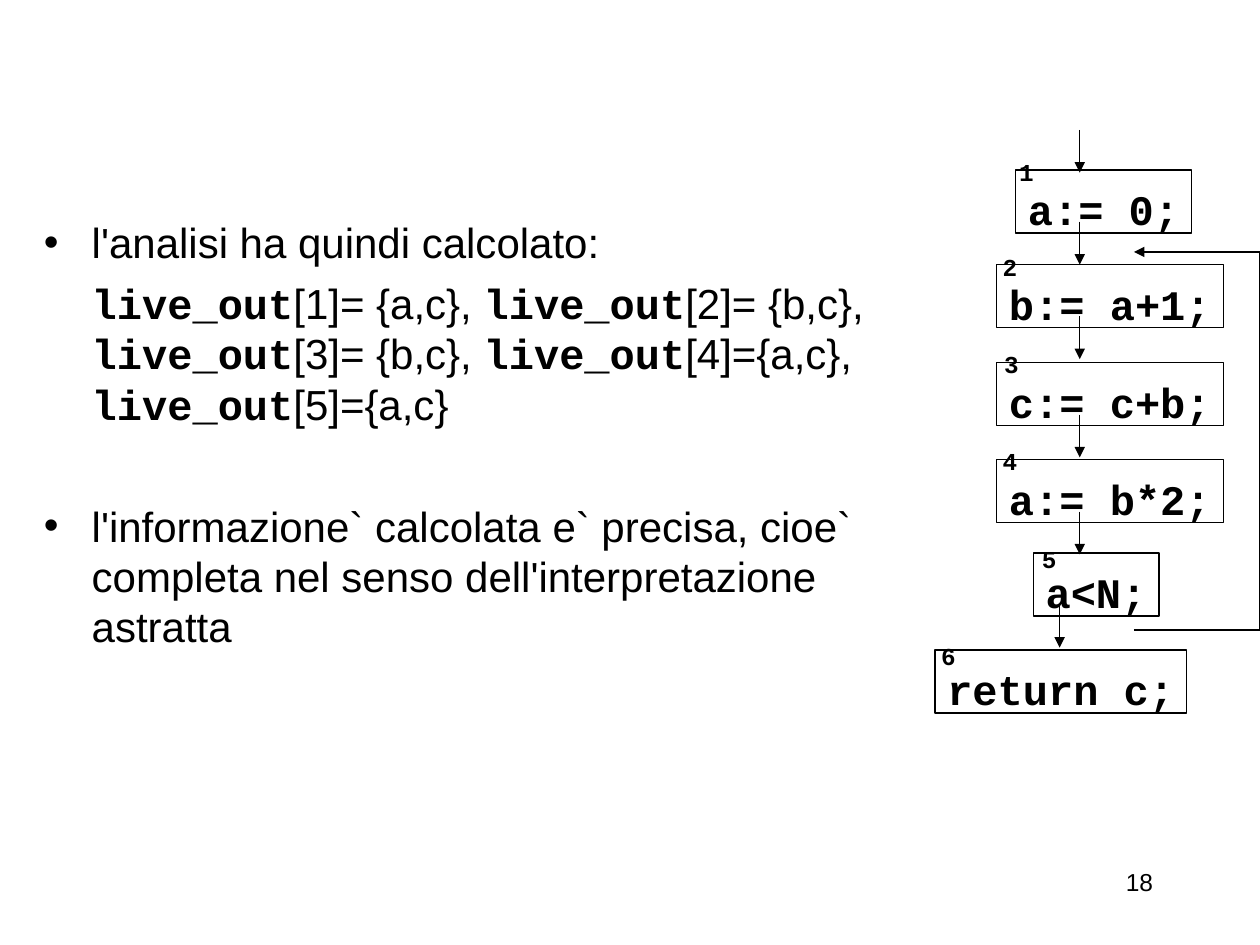
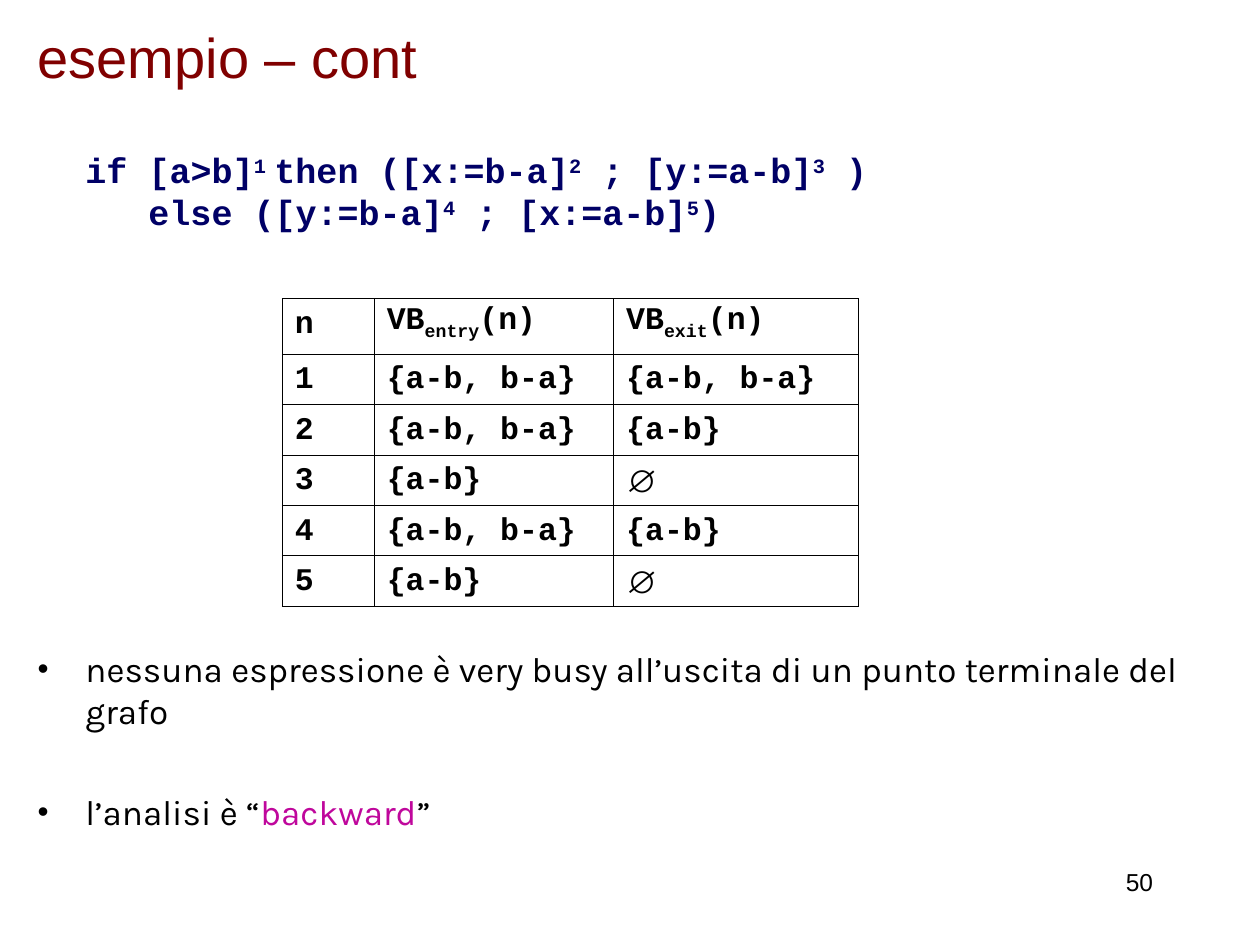
from dataclasses import dataclass, field
from lxml.etree import SubElement
from pptx import Presentation
from pptx.dml.color import RGBColor
from pptx.enum.shapes import MSO_CONNECTOR, MSO_SHAPE
from pptx.enum.text import MSO_ANCHOR, PP_ALIGN
from pptx.oxml.ns import qn
from pptx.util import Inches, Pt

BLACK = RGBColor(0, 0, 0)
NAVY = RGBColor(0, 0, 0x66)
MAROON = RGBColor(0x80, 0, 0)
PURPLE = RGBColor(0xBF, 0x07, 0x9C)
SANS, MONO, KARLA = "Arial", "Courier New", "Karla"
LINE = Pt(0.75)
LEAD = 1.2  # line pitch relative to text size


@dataclass
class Run:
    text: str
    font: str = SANS
    bold: bool = False
    color: RGBColor = BLACK
    base: int = 0


@dataclass
class Para:
    runs: list[Run]
    size: float = 24
    before: float = 0
    indent: float = 0
    bullet: int = 0  # bullet size in percent, 0 for none
    tabs: list[float] = field(default_factory=list)
    align: PP_ALIGN = PP_ALIGN.LEFT


@dataclass
class Node:
    tag: str
    text: str
    left: float
    top: float
    tagx: float
    tagy: float


def write(frame, paras: list[Para]) -> None:
    """Fill a text frame with formatted paragraphs."""
    for i, item in enumerate(paras):
        par = frame.paragraphs[0] if i == 0 else frame.add_paragraph()
        form = {"alignment": item.align, "space_before": Pt(item.before),
                "line_spacing": Pt(item.size * LEAD)}
        for key, value in form.items():
            setattr(par, key, value)
        props = par._p.get_or_add_pPr()
        props.set("marL", str(Inches(item.indent)))
        props.set("indent", str(-Inches(item.indent) if item.bullet else 0))
        if item.bullet:
            color = SubElement(props, qn("a:buClr"))
            SubElement(color, qn("a:srgbClr"), val=str(BLACK))
            SubElement(props, qn("a:buSzPct"), val=str(item.bullet * 1000))
            SubElement(props, qn("a:buFont"), typeface=SANS)
            SubElement(props, qn("a:buChar"), char="•")
        if item.tabs:
            stops = SubElement(props, qn("a:tabLst"))
            for stop in item.tabs:
                SubElement(stops, qn("a:tab"), pos=str(Inches(stop)), algn="l")
        for part in item.runs:
            run = par.add_run()
            run.text = part.text
            look = {"name": part.font, "size": Pt(item.size), "bold": part.bold}
            for key, value in look.items():
                setattr(run.font, key, value)
            run.font.color.rgb = part.color
            if part.base:
                run.font._element.set("baseline", str(part.base * 1000))


def text(slide, left: float, top: float, width: float, height: float,
         paras: list[Para], wrap: bool = True, anchor=MSO_ANCHOR.TOP) -> None:
    box = slide.shapes.add_textbox(Inches(left), Inches(top), Inches(width), Inches(height))
    box.text_frame.word_wrap = wrap
    box.text_frame.vertical_anchor = anchor
    write(box.text_frame, paras)


def footer(slide, number: int) -> None:
    text(slide, 7.17, 6.83, 2.08, 0.5,
         [Para([Run(str(number))], size=14, align=PP_ALIGN.RIGHT)])


def title(slide, words: str) -> None:
    text(slide, 0.2, 0.09, 9.49, 0.71, [Para([Run(words, color=MAROON)], size=32)],
         anchor=MSO_ANCHOR.MIDDLE)


def stroke(shape) -> None:
    """Thin black line with an arrowhead at its end."""
    shape.line.color.rgb = BLACK
    shape.line.width = LINE
    SubElement(shape.line._get_or_add_ln(), qn("a:tailEnd"), type="triangle")


def arrow(slide, x: float, top: float) -> None:
    line = slide.shapes.add_connector(MSO_CONNECTOR.STRAIGHT, Inches(x), Inches(top),
                                      Inches(x), Inches(top + 0.34))
    stroke(line)
    SubElement(line._element.spPr, qn("a:effectLst"))


def block(slide, node: Node) -> None:
    """A flow graph box with its raised number."""
    width = 0.2 + 0.2 * len(node.text)
    box = slide.shapes.add_shape(MSO_SHAPE.RECTANGLE, Inches(node.left), Inches(node.top),
                                 Inches(width), Inches(0.5))
    box.shadow.inherit = False
    box.fill.background()
    box.line.color.rgb = BLACK
    box.line.width = LINE
    form = {"word_wrap": False, "vertical_anchor": MSO_ANCHOR.TOP,
            "margin_top": Inches(0.11), "margin_bottom": Inches(0)}
    for key, value in form.items():
        setattr(box.text_frame, key, value)
    write(box.text_frame, [Para([Run(node.text, MONO, True)])])
    text(slide, node.tagx, node.tagy, 0.31, 0.5,
         [Para([Run(node.tag, MONO, True, base=30)])], wrap=False)


def curve(slide, start: tuple, bends: list[tuple], steps: int = 20) -> None:
    """Open outline that follows a chain of cubic bends."""
    points, first = [], start
    for bend in bends:
        knots = (first, *bend)
        for i in range(1, steps + 1):
            t = i / steps
            mix = ((1 - t) ** 3, 3 * t * (1 - t) ** 2, 3 * t * t * (1 - t), t ** 3)
            points.append(tuple(sum(m * k[axis] for m, k in zip(mix, knots))
                                for axis in (0, 1)))
        first = bend[-1]
    maker = slide.shapes.build_freeform(*start, scale=float(Inches(1)))
    maker.add_line_segments(points, close=False)
    loop = maker.convert_to_shape()
    loop.shadow.inherit = False
    loop.fill.background()
    stroke(loop)


def grid(slide, left: float, top: float, cols: list[float], rows: list[float],
         cells: list[list[list[Run]]]) -> None:
    """Plain table with thin borders."""
    table = slide.shapes.add_table(len(rows), len(cols), Inches(left), Inches(top),
                                   Inches(sum(cols)), Inches(sum(rows))).table
    table.first_row = table.horz_banding = False
    for col, width in zip(table.columns, cols):
        col.width = Inches(width)
    for row, height, line in zip(table.rows, rows, cells):
        row.height = Inches(height)
        for cell, runs in zip(row.cells, line):
            write(cell.text_frame, [Para(runs, size=18)])
            props = cell._tc.get_or_add_tcPr()
            for side in ("lnL", "lnR", "lnT", "lnB"):
                edge = SubElement(props, qn(f"a:{side}"), w=str(Pt(0.45)))
                fill = SubElement(edge, qn("a:solidFill"))
                SubElement(fill, qn("a:srgbClr"), val=str(BLACK))
            cell.fill.background()


def code(*parts: str) -> list[Run]:
    """Bold code where every second part is a raised label."""
    return [Run(part, MONO, True, NAVY, 30 * (i % 2)) for i, part in enumerate(parts)]


def live(slide) -> None:
    # Flow graph
    nodes = [Node("1", "a:= 0;", 8.06, 1.35, 7.99, 1.16),
             Node("2", "b:= a+1;", 7.91, 2.1, 7.86, 1.91),
             Node("3", "c:= c+b;", 7.91, 2.88, 7.87, 2.68),
             Node("4", "a:= b*2;", 7.91, 3.65, 7.86, 3.45),
             Node("5", "a<N;", 8.2, 4.39, 8.17, 4.23),
             Node("6", "return c;", 7.42, 5.16, 7.37, 5)]
    for node in nodes:
        block(slide, node)
    arrow(slide, 8.57, 1.03)
    for node in nodes[:-1]:
        arrow(slide, 8.41 if node.tag == "5" else 8.57, node.top + 0.41)
    curve(slide, (8.66, 4.8), [
        ((8.65, 4.9), (8.65, 5), (8.84, 5)),
        ((9.04, 5), (9.67, 5.26), (9.83, 4.8)),
        ((10, 4.34), (9.98, 2.72), (9.83, 2.24)),
        ((9.69, 1.76), (9.16, 1.93), (8.97, 1.91)),
        ((8.77, 1.88), (8.72, 2), (8.66, 2.11))])

    # Results of the analysis
    sets = ["[1]= {a,c}, ", "[2]= {b,c}, ", "[3]= {b,c}, ", "[4]={a,c}, ", "[5]={a,c}"]
    outs = [run for item in sets for run in (Run("live_out", MONO, True), Run(item))]
    last = ("l'informazione` calcolata e` precisa, cioe` completa nel senso "
            "dell'interpretazione astratta")
    text(slide, 0.25, 1.67, 6.93, 3.83, [
        Para([Run("l'analisi ha quindi calcolato:")], indent=0.38, bullet=100),
        Para(outs, before=6, indent=0.38),
        Para([Run(last)], before=40.8, indent=0.38, bullet=100)])
    footer(slide, 18)


def busy(slide) -> None:
    # Program and remarks
    note = "nessuna espressione è very busy all’uscita di un punto terminale del grafo"
    quote = [Run("l’analisi è “", KARLA), Run("backward", KARLA, color=PURPLE),
             Run("”", KARLA)]
    text(slide, 0.2, 1.13, 9.55, 5.69, [
        Para(code("if [a>b]", "1", "\tthen ([x:=b-a]", "2", " ; [y:=a-b]", "3", " )"),
             size=20, indent=0.38, tabs=[2]),
        Para(code("\telse ([y:=b-a]", "4", " ; [x:=a-b]", "5", ")"),
             size=20, indent=0.38, tabs=[2]),
        Para([Run(note, KARLA)], size=20, before=237, indent=0.38, bullet=90),
        Para(quote, size=20, before=34, indent=0.38, bullet=90)])

    # Very busy expressions by program point
    both, one, none = "{a-b, b-a}", "{a-b}", "∅"
    head = [[Run("n", MONO, True)]]
    for name in ("entry", "exit"):
        head.append([Run("VB", MONO, True), Run(name, MONO, True, base=-25),
                     Run("(n)", MONO, True)])
    facts = [(both, both), (both, one), (one, none), (both, one), (one, none)]
    body = [[[Run(word, SANS if word == none else MONO, True)] for word in (str(n), *pair)]
            for n, pair in enumerate(facts, 1)]
    grid(slide, 2.24, 2.37, [0.73, 1.9, 1.94], [0.44] + [0.4] * len(body), [head] + body)
    title(slide, "esempio – cont")
    footer(slide, 50)


def main() -> None:
    deck = Presentation()
    deck.slide_width, deck.slide_height = Inches(10), Inches(7.5)
    for draw in (live, busy):
        draw(deck.slides.add_slide(deck.slide_layouts[6]))
    deck.save("out.pptx")


if __name__ == "__main__":
    main()
